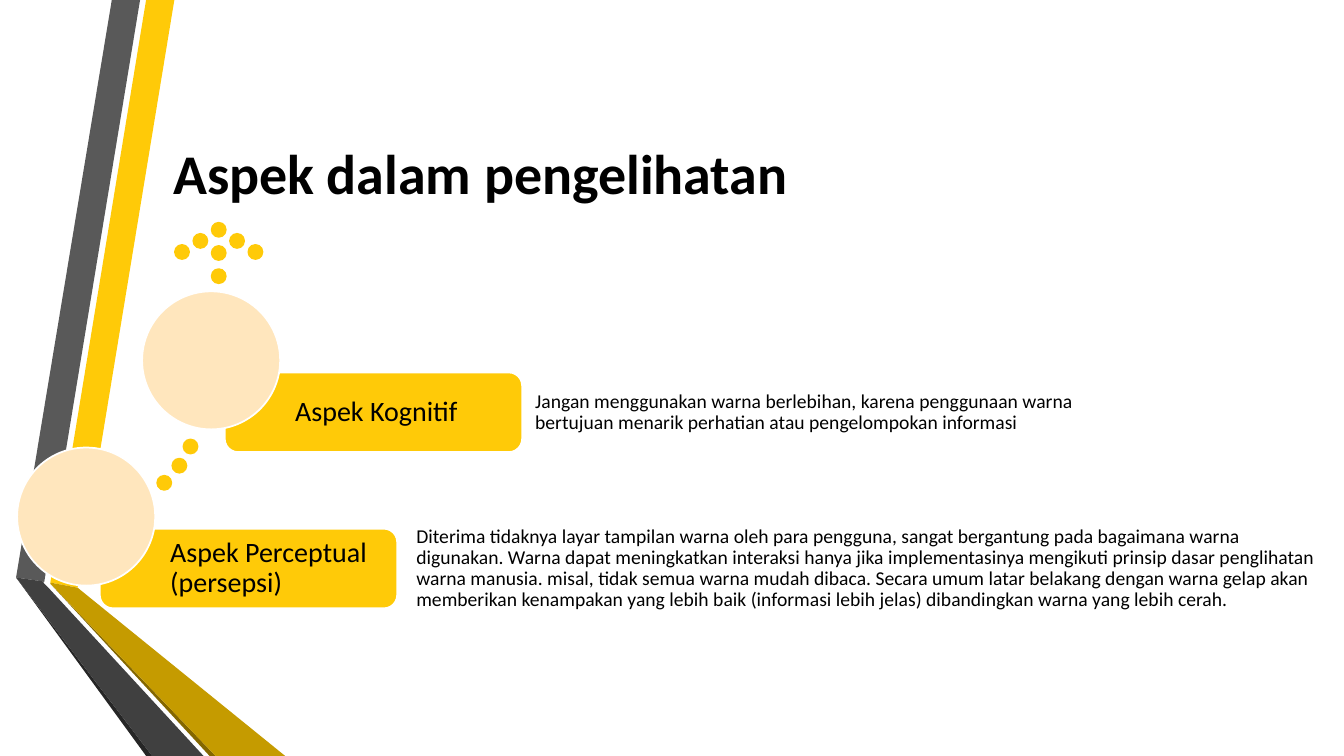
from pptx import Presentation
from pptx.dml.color import RGBColor
from pptx.enum.shapes import MSO_SHAPE
from pptx.enum.text import MSO_ANCHOR, PP_ALIGN
from pptx.util import Inches, Pt

OVAL = MSO_SHAPE.OVAL
ROUNDED = MSO_SHAPE.ROUNDED_RECTANGLE
MIDDLE = MSO_ANCHOR.MIDDLE
LEFT = PP_ALIGN.LEFT

CELL = Inches(0.1)
COLS, ROWS = 133.33, 75
FONT = "Calibri"
COLORS = {
    "yellow": "FFCA08", "gold": "C59B00", "bronze": "846700",
    "gray": "595959", "dark": "404040", "black_gray": "262626",
    "cream": "FFE6BD", "white": "FFFFFF", "text": "000000",
}

RIBBONS = [
    ("yellow", [(5, 57.8), (7.7, 58.3), (17.3, 0), (14.5, 0)]),
    ("gray", [(13.9, 0), (11.1, 0), (1.6, 57.3), (4.4, 57.7)]),
    ("black_gray", [(1.6, 57.3), (14.5, ROWS), (15.1, ROWS)]),
    ("bronze", [(5, 57.9), (20.8, ROWS), (21.4, ROWS)]),
    ("gold", [(5, 57.9), (21.4, ROWS), (28.3, ROWS), (7.7, 58.3), (5, 57.8)]),
    ("dark", [(20.2, ROWS), (4.8, 58.3), (4.3, 57.8), (4.4, 57.7),
              (1.6, 57.3), (15.1, ROWS)]),
]

TRAIL = [(18.2, 43.6), (17.1, 45.5), (15.6, 47.2)]
ARROW = [(21 + 1.82 * i, 22.1 + 1.1 * abs(i)) for i in range(-2, 3)]
STEM = [(21, 22.1 + 2.3 * i) for i in (1, 2)]

STEPS = [
    ((1.7, 44.4), "Aspek Perceptual (persepsi)", (40.2, 90.9),
     "Diterima tidaknya layar tampilan warna oleh para pengguna, sangat "
     "bergantung pada bagaimana warna digunakan. Warna dapat meningkatkan "
     "interaksi hanya jika implementasinya mengikuti prinsip dasar "
     "penglihatan warna manusia. misal, tidak semua warna mudah dibaca. "
     "Secara umum latar belakang dengan warna gelap akan memberikan "
     "kenampakan yang lebih baik (informasi lebih jelas) dibandingkan "
     "warna yang lebih cerah."),
    ((14.1, 28.9), "Aspek Kognitif", (52, 56.3),
     "Jangan menggunakan warna berlebihan, karena penggunaan warna "
     "bertujuan menarik perhatian atau pengelompokan informasi"),
]


def grid(*cells):
    return [round(c * CELL) for c in cells]


def rgb(name):
    return RGBColor.from_string(COLORS[name])


def paint(sp, fill, line=None):
    sp.shadow.inherit = False
    sp.fill.solid()
    sp.fill.fore_color.rgb = rgb(fill)
    if line:
        sp.line.color.rgb = rgb(line)
        sp.line.width = Pt(1.25)
    else:
        sp.line.fill.background()


def add_ribbon(s, color, points):
    start, *rest = [grid(*pt) for pt in points]
    builder = s.shapes.build_freeform(*start)
    builder.add_line_segments(rest, close=True)
    paint(builder.convert_to_shape(), color)


def add_figure(s, kind, box, fill, line):
    sp = s.shapes.add_shape(kind, *grid(*box))
    paint(sp, fill, line)
    return sp


def write(sp, text, size, insets, spacing=0.9, bold=False):
    tf = sp.text_frame
    tf.word_wrap = True
    tf.vertical_anchor = MIDDLE
    (tf.margin_left, tf.margin_top,
     tf.margin_right, tf.margin_bottom) = grid(*insets)
    tf.text = text
    p = tf.paragraphs[0]
    p.alignment = LEFT
    p.line_spacing = spacing
    font = p.runs[0].font
    font.name, font.size, font.bold = FONT, Pt(size), bold
    font.color.rgb = rgb("text")


def add_text(s, box, *args, **style):
    write(s.shapes.add_textbox(*grid(*box)), *args, **style)


def add_step(s, corner, label, span, detail):
    x, y = corner
    top, height = y + 8.05, 7.9
    sp = add_figure(s, ROUNDED, (x + 8.2, top, 29.5, height), "yellow", "white")
    write(sp, label, 20, (6.6, 1.2, 1.2, 1.2))
    left, width = span
    add_text(s, (left, top, width, height), detail, 14, (1.1, 0.4, 0.4, 0.4))
    add_figure(s, OVAL, (x, y, 13.7, 13.7), "cream", "white")


def main():
    prs = Presentation()
    prs.slide_width, prs.slide_height = grid(COLS, ROWS)
    s = prs.slides.add_slide(prs.slide_layouts[6])
    for color, points in RIBBONS:
        add_ribbon(s, color, points)
    add_text(s, (16.2, 7.5, 109.6, 19.2), "Aspek dalam pengelihatan", 40,
             (1, 0.5, 1, 0.5), spacing=1.0, bold=True)
    for x, y in TRAIL + ARROW + STEM:
        add_figure(s, OVAL, (x, y, 1.4, 1.4), "yellow", "yellow")
    for step in STEPS:
        add_step(s, *step)
    prs.save("out.pptx")


if __name__ == "__main__":
    main()
